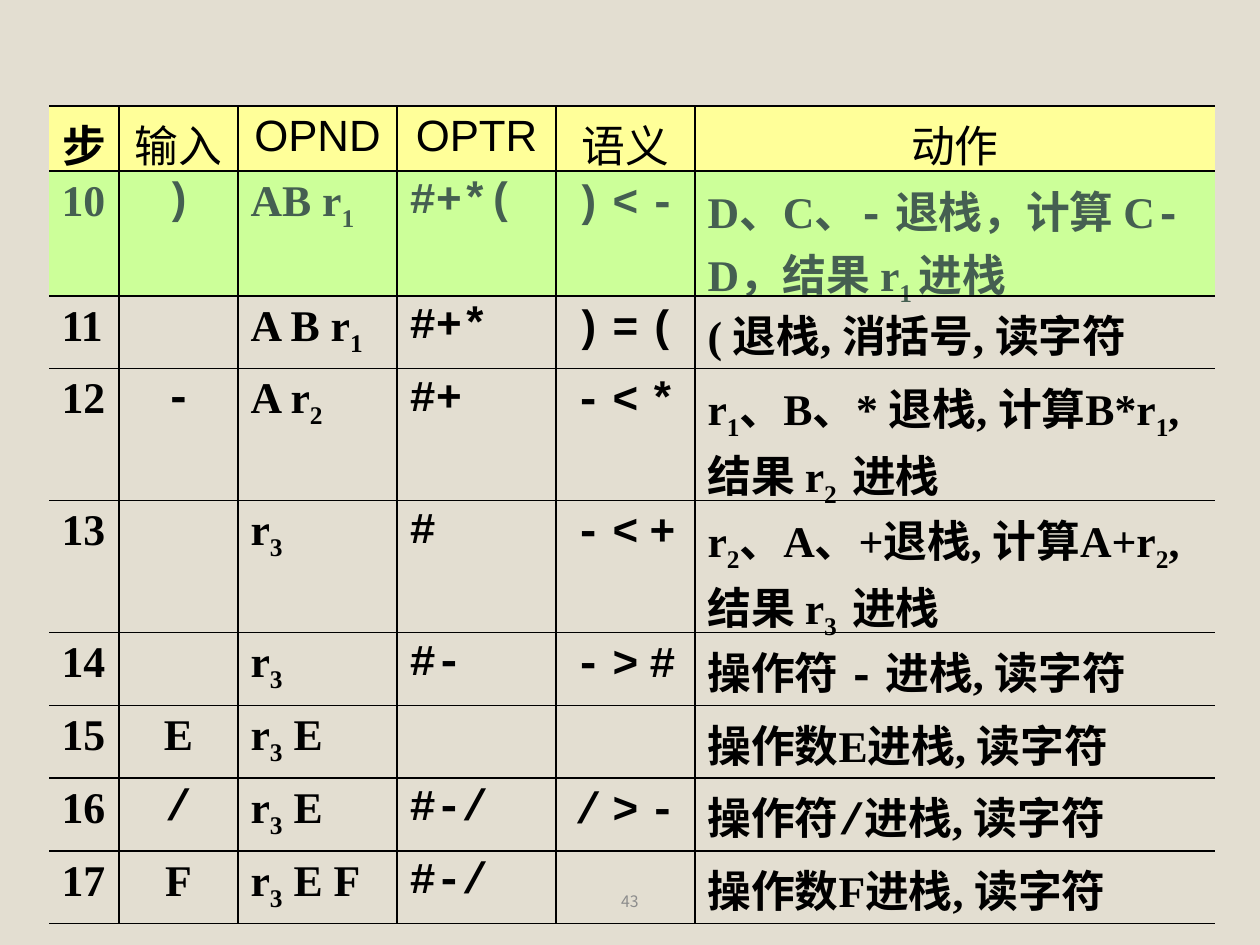
import pptx
import pptx.dml.color
import pptx.enum.text
import pptx.oxml.ns
import pptx.util
import lxml.etree

RGBColor = pptx.dml.color.RGBColor
Align = pptx.enum.text.PP_ALIGN
BACKGROUND = RGBColor(0xE3, 0xDE, 0xD1)
BLACK = RGBColor(0, 0, 0)
GREY = RGBColor(0x8C, 0x8C, 0x8C)
DARK_GREEN = RGBColor(0x45, 0x5F, 0x51)
YELLOW = RGBColor(0xFF, 0xFF, 0x99)
LIGHT_GREEN = RGBColor(0xCC, 0xFF, 0x99)

SERIF = "Times New Roman"
MONO = "Courier New"
SANS = "Arial"
CHINESE = "Noto Sans CJK SC"


def serif(text):
    return text, SERIF, False


def mono(text):
    return text, MONO, False


def sub(text, font=SERIF):
    return text, font, True


def spaced_mono(text):
    runs = []
    for symbol in text.split():
        runs += [serif(" "), mono(symbol)]
    return runs[1:]


class TraceSlide:
    scale = 914400 / 126
    body_size = 25
    border_width = 1

    def __init__(self, presentation):
        self.slide = presentation.slides.add_slide(presentation.slide_layouts[6])
        self.slide.background.fill.solid()
        self.slide.background.fill.fore_color.rgb = BACKGROUND

    @classmethod
    def px(cls, length):
        return pptx.util.Emu(round(length * cls.scale))

    def run(self, paragraph, text, font, size, color, bold=False, subscript=False):
        run = paragraph.add_run()
        run.text = text
        run.font.name = font
        run.font.size = pptx.util.Pt(size)
        run.font.bold = bold
        run.font.color.rgb = color
        if subscript:
            run.font._element.set("baseline", "-25000")

    def label(self, left, top, width, height, text, size, color):
        box = self.slide.shapes.add_textbox(*map(self.px, (left, top, width, height)))
        frame = box.text_frame
        frame.word_wrap = True
        frame.vertical_anchor = pptx.enum.text.MSO_ANCHOR.MIDDLE
        paragraph = frame.paragraphs[0]
        paragraph.alignment = Align.CENTER
        self.run(paragraph, text, CHINESE, size, color)

    def table(self, left, top, columns, rows):
        bounds = (left, top, sum(columns), sum(rows))
        shape = self.slide.shapes.add_table(len(rows), len(columns), *map(self.px, bounds))
        table = shape.table
        table.first_row = False
        table.horz_banding = False
        for column, width in zip(table.columns, columns):
            column.width = self.px(width)
        for row, height in zip(table.rows, rows):
            row.height = self.px(height)
        return table

    def border(self, cell, side, visible):
        name = pptx.oxml.ns.qn
        properties = cell._tc.get_or_add_tcPr()
        line = lxml.etree.SubElement(properties, name("a:ln" + side))
        line.set("w", str(pptx.util.Pt(self.border_width)))
        if visible:
            fill = lxml.etree.SubElement(line, name("a:solidFill"))
            lxml.etree.SubElement(fill, name("a:srgbClr")).set("val", str(BLACK))
        else:
            lxml.etree.SubElement(line, name("a:noFill"))

    def cell(self, cell, runs, alignment, color, fill, first, last, bold=True):
        for side, visible in (("L", not first), ("R", not last), ("T", True), ("B", True)):
            self.border(cell, side, visible)
        if fill is None:
            cell.fill.background()
        else:
            cell.fill.solid()
            cell.fill.fore_color.rgb = fill
        paragraph = cell.text_frame.paragraphs[0]
        paragraph.alignment = alignment
        for text, font, subscript in runs:
            self.run(paragraph, text, font, self.body_size, color, bold, subscript)


COLUMNS = [70, 119, 159, 159, 139, 520]
ROWS = [65, 125, 72, 132, 132, 73, 72, 73, 72]
CENTERED_COLUMNS = (1, 4)
HEADER = [("步", SERIF), ("输入", SERIF), ("OPND", SANS), ("OPTR", SANS),
          ("语义", SERIF), ("动作", SERIF)]
FIRST_STEP = 10
STEPS = [
    (mono(")"), [serif("AB r"), sub("1")], "#+*(", ") < -",
     [serif("D、C、"), mono("-"), serif(" 退栈，计算 C"), mono("-"),
      serif("D，结果 r"), sub("1 "), serif("进栈")]),
    (None, [serif("A B r"), sub("1")], "#+*", ") = (",
     [serif("( 退栈, 消括号, 读字符")]),
    (mono("-"), [serif("A r"), sub("2")], "#+", "- < *",
     [serif("r"), sub("1"), serif("、B、* 退栈, 计算B*r"), sub("1"),
      serif(",结果 r"), sub("2"), sub(" ", MONO), serif("进栈")]),
    (None, [serif("r"), sub("3")], "#", "- < +",
     [serif("r"), sub("2"), serif("、A、+退栈, 计算A+r"), sub("2"),
      serif(", 结果 r"), sub("3"), sub(" ", MONO), serif("进栈")]),
    (None, [serif("r"), sub("3")], "#-", "- > #",
     [serif("操作符 "), mono("-"), serif(" 进栈, 读字符")]),
    (serif("E"), [serif("r"), sub("3"), serif(" E")], "", "",
     [serif("操作数E进栈, 读字符")]),
    (mono("/"), [serif("r"), sub("3"), serif(" E")], "#-/", "/ > -",
     [serif("操作符"), mono("/"), serif("进栈, 读字符")]),
    (serif("F"), [serif("r"), sub("3"), serif(" E F")], "#-/", "",
     [serif("操作数F进栈, 读字符")]),
]


def main():
    presentation = pptx.Presentation()
    presentation.slide_width = TraceSlide.px(1260)
    presentation.slide_height = TraceSlide.px(945)
    trace = TraceSlide(presentation)
    trace.label(417, 876, 426, 50, "43", 9, GREY)
    table = trace.table(49, 106, COLUMNS, ROWS)
    last = len(COLUMNS) - 1

    for index, (title, font) in enumerate(HEADER):
        trace.cell(table.cell(0, index), [(title, font, False)], Align.CENTER,
                   BLACK, YELLOW, index == 0, index == last, bold=index == 0)

    for row, (symbol, operands, operators, comparison, action) in enumerate(STEPS, 1):
        highlighted = row == 1
        contents = [
            [serif(str(FIRST_STEP + row - 1))],
            [symbol] if symbol else [],
            operands,
            [mono(operators)] if operators else [],
            spaced_mono(comparison),
            action,
        ]
        for index, runs in enumerate(contents):
            trace.cell(table.cell(row, index), runs,
                       Align.CENTER if index in CENTERED_COLUMNS else Align.LEFT,
                       DARK_GREEN if highlighted else BLACK,
                       LIGHT_GREEN if highlighted else None,
                       index == 0, index == last)

    presentation.save("out.pptx")


if __name__ == "__main__":
    main()
